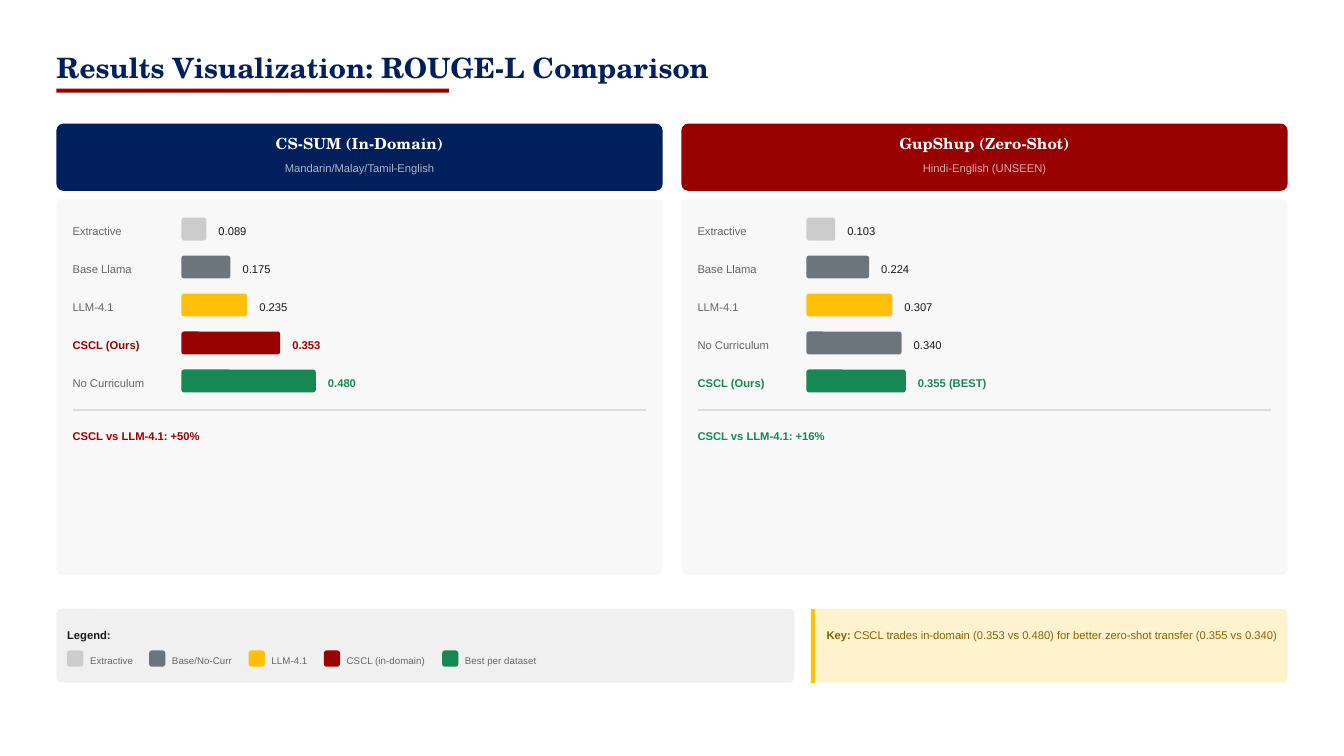
from lxml.etree import SubElement
from pptx import Presentation
from pptx.dml.color import RGBColor
from pptx.enum.shapes import MSO_CONNECTOR, MSO_SHAPE
from pptx.enum.text import MSO_ANCHOR, MSO_AUTO_SIZE, PP_ALIGN
from pptx.oxml.ns import qn
from pptx.util import Inches, Pt

# Content
TITLE = "Results Visualization: ROUGE-L Comparison"
# Each row: method, score, note after the score, bar colour, label colour, score colour
PANELS = [
    {
        "name": "CS-SUM (In-Domain)", "languages": "Mandarin/Malay/Tamil-English",
        "color": "navy", "gain": "CSCL vs LLM-4.1: +50%", "gain_color": "red",
        "rows": [
            ("Extractive", 0.089, "", "silver", "muted", "ink"),
            ("Base Llama", 0.175, "", "slate", "muted", "ink"),
            ("LLM-4.1", 0.235, "", "amber", "muted", "ink"),
            ("CSCL (Ours)", 0.353, "", "red", "red", "red"),
            ("No Curriculum", 0.480, "", "green", "muted", "green"),
        ],
    },
    {
        "name": "GupShup (Zero-Shot)", "languages": "Hindi-English (UNSEEN)",
        "color": "red", "gain": "CSCL vs LLM-4.1: +16%", "gain_color": "green",
        "rows": [
            ("Extractive", 0.103, "", "silver", "muted", "ink"),
            ("Base Llama", 0.224, "", "slate", "muted", "ink"),
            ("LLM-4.1", 0.307, "", "amber", "muted", "ink"),
            ("No Curriculum", 0.340, "", "slate", "muted", "ink"),
            ("CSCL (Ours)", 0.355, " (BEST)", "green", "green", "green"),
        ],
    },
]
# Label, label width, swatch colour
LEGEND = [
    ("Extractive", 0.33, "silver"),
    ("Base/No-Curr", 0.46, "slate"),
    ("LLM-4.1", 0.28, "amber"),
    ("CSCL (in-domain)", 0.60, "red"),
    ("Best per dataset", 0.54, "green"),
]
KEY = [
    ("Key:", True),
    (" CSCL trades in-domain (0.353 vs 0.480) for better zero-shot transfer "
     "(0.355 vs 0.340)", False),
]

# Theme: type styles are (font, size, line spacing)
THEME = {
    "colors": {
        "navy": "011F5B", "red": "990000", "green": "198754", "amber": "FFC107",
        "slate": "6C757D", "silver": "CCCCCC", "muted": "666666", "ink": "1A1A1A",
        "white": "FFFFFF", "card": "F8F8F8", "legend": "F0F0F0", "rule": "DDDDDD",
        "key": "FFF3CD", "key_text": "856404",
    },
    "type": {
        "title": ("TeX Gyre Schola", 15, 15),
        "heading": ("TeX Gyre Schola", 8.25, 9.9),
        "body": ("Arial", 6, 8.4),
        "legend": ("Arial", 5.25, 7.3),
    },
}

# Layout, in inches
SLIDE_WIDTH = 10
SLIDE_HEIGHT = SLIDE_WIDTH * 9 / 16
MARGIN, PANEL_WIDTH, PANEL_STEP = 0.42, 4.51, 4.65
PADDING, BAR_OFFSET = 0.12, 0.93
FIRST_BAR, LAST_BAR, BAR_HEIGHT = 1.62, 2.75, 0.17
BAR_SCALE = 1 / 0.48
SCORE_GAP = 0.09
FOOTER_TOP, FOOTER_HEIGHT = 4.53, 0.55
SWATCH, LEGEND_LABEL, LEGEND_GAP = 0.12, 0.17, 0.11


def color(name):
    return RGBColor.from_string(THEME["colors"][name])


def add_block(slide, left, top, width, height, fill, radius=0):
    kind = MSO_SHAPE.ROUNDED_RECTANGLE if radius else MSO_SHAPE.RECTANGLE
    shape = slide.shapes.add_shape(kind, *map(Inches, (left, top, width, height)))
    if radius:
        shape.adjustments[0] = radius / min(width, height)
    shape.shadow.inherit = False
    shape.fill.solid()
    shape.fill.fore_color.rgb = color(fill)
    shape.line.fill.background()


def add_line(slide, start, end, stroke, weight):
    line = slide.shapes.add_connector(MSO_CONNECTOR.STRAIGHT, *map(Inches, (*start, *end)))
    line.line.color.rgb = color(stroke)
    line.line.width = Pt(weight)
    SubElement(line._element.spPr, qn("a:effectLst"))


def write(shape, runs, style, fill, centered=False, alpha=None):
    """Fill a text shape with (text, bold) runs in one of the theme's type styles."""
    font_name, size, spacing = THEME["type"][style]
    frame = shape.text_frame
    frame_format = {
        "margin_left": 0, "margin_top": 0, "margin_right": 0, "margin_bottom": 0,
        "auto_size": MSO_AUTO_SIZE.NONE, "vertical_anchor": MSO_ANCHOR.TOP,
        "word_wrap": centered,
    }
    for name, value in frame_format.items():
        setattr(frame, name, value)
    paragraph = frame.paragraphs[0]
    paragraph.alignment = PP_ALIGN.CENTER if centered else PP_ALIGN.LEFT
    paragraph.line_spacing = Pt(spacing)
    paragraph.space_before = Pt(0)
    for text, bold in runs:
        run = paragraph.add_run()
        run.text = text
        for name, value in {"name": font_name, "size": Pt(size), "bold": bold}.items():
            setattr(run.font, name, value)
        run.font.color.rgb = color(fill)
        if alpha:
            tint = run._r.rPr.find(".//" + qn("a:srgbClr"))
            SubElement(tint, qn("a:alpha")).set("val", str(alpha * 1000))


def add_text(slide, left, top, width, height, runs, style, fill, **options):
    box = slide.shapes.add_textbox(*map(Inches, (left, top, width, height)))
    write(box, runs, style, fill, **options)


def add_title(slide):
    title = slide.shapes.title
    place = {"left": MARGIN, "top": 0.42, "width": 5.24, "height": 0.27}
    for name, value in place.items():
        setattr(title, name, Inches(value))
    write(title, [(TITLE, True)], "title", "navy")
    add_block(slide, MARGIN, 0.66, 2.92, 0.03, "red")


def add_panel(slide, left, panel):
    # Header
    add_block(slide, left, 0.92, PANEL_WIDTH, 0.5, panel["color"], 0.05)
    add_text(slide, left, 1, PANEL_WIDTH, 0.14, [(panel["name"], True)],
             "heading", "white", centered=True)
    add_text(slide, left, 1.18, PANEL_WIDTH, 0.12, [(panel["languages"], False)],
             "body", "white", centered=True, alpha=67)

    # Score bars
    add_block(slide, left, 1.48, PANEL_WIDTH, 2.8, "card", 0.05)
    text_left, bar_left = left + PADDING, left + BAR_OFFSET
    pitch = (LAST_BAR - FIRST_BAR) / (len(panel["rows"]) - 1)
    for index, (label, score, note, bar, label_color, score_color) in enumerate(panel["rows"]):
        top = FIRST_BAR + index * pitch
        width = score * BAR_SCALE
        add_text(slide, text_left, top + 0.03, 0.74, 0.12,
                 [(label, label_color != "muted")], "body", label_color)
        add_block(slide, bar_left, top, width, BAR_HEIGHT, bar, 0.02)
        add_text(slide, bar_left + width + SCORE_GAP, top + 0.03, 0.52 if note else 0.21, 0.12,
                 [(f"{score:.3f}{note}", score_color != "ink")], "body", score_color)

    # Gain below the rule
    add_line(slide, (text_left, 3.05), (left + PANEL_WIDTH - PADDING, 3.05), "rule", 0.75)
    add_text(slide, text_left, 3.18, 4.35, 0.12, [(panel["gain"], True)],
             "body", panel["gain_color"])


def add_footer(slide):
    # Legend
    add_block(slide, MARGIN, FOOTER_TOP, 5.49, FOOTER_HEIGHT, "legend", 0.04)
    left = MARGIN + 0.08
    add_text(slide, left, 4.66, 5.4, 0.12, [("Legend:", True)], "body", "ink")
    for label, width, fill in LEGEND:
        add_block(slide, left, 4.84, SWATCH, SWATCH, fill, 0.02)
        add_text(slide, left + LEGEND_LABEL, 4.86, width, 0.1,
                 [(label, False)], "legend", "muted")
        left += LEGEND_LABEL + width + LEGEND_GAP

    # Key finding
    add_block(slide, 6.03, FOOTER_TOP, 3.55, FOOTER_HEIGHT, "key", 0.04)
    add_line(slide, (6.05, FOOTER_TOP), (6.05, FOOTER_TOP + FOOTER_HEIGHT), "amber", 2.25)
    add_text(slide, 6.15, 4.66, 3.42, 0.12, KEY, "body", "key_text")


def main():
    presentation = Presentation()
    presentation.slide_width = Inches(SLIDE_WIDTH)
    presentation.slide_height = Inches(SLIDE_HEIGHT)
    slide = presentation.slides.add_slide(presentation.slide_layouts[5])
    add_title(slide)
    for index, panel in enumerate(PANELS):
        add_panel(slide, MARGIN + index * PANEL_STEP, panel)
    add_footer(slide)
    presentation.save("out.pptx")


if __name__ == "__main__":
    main()
